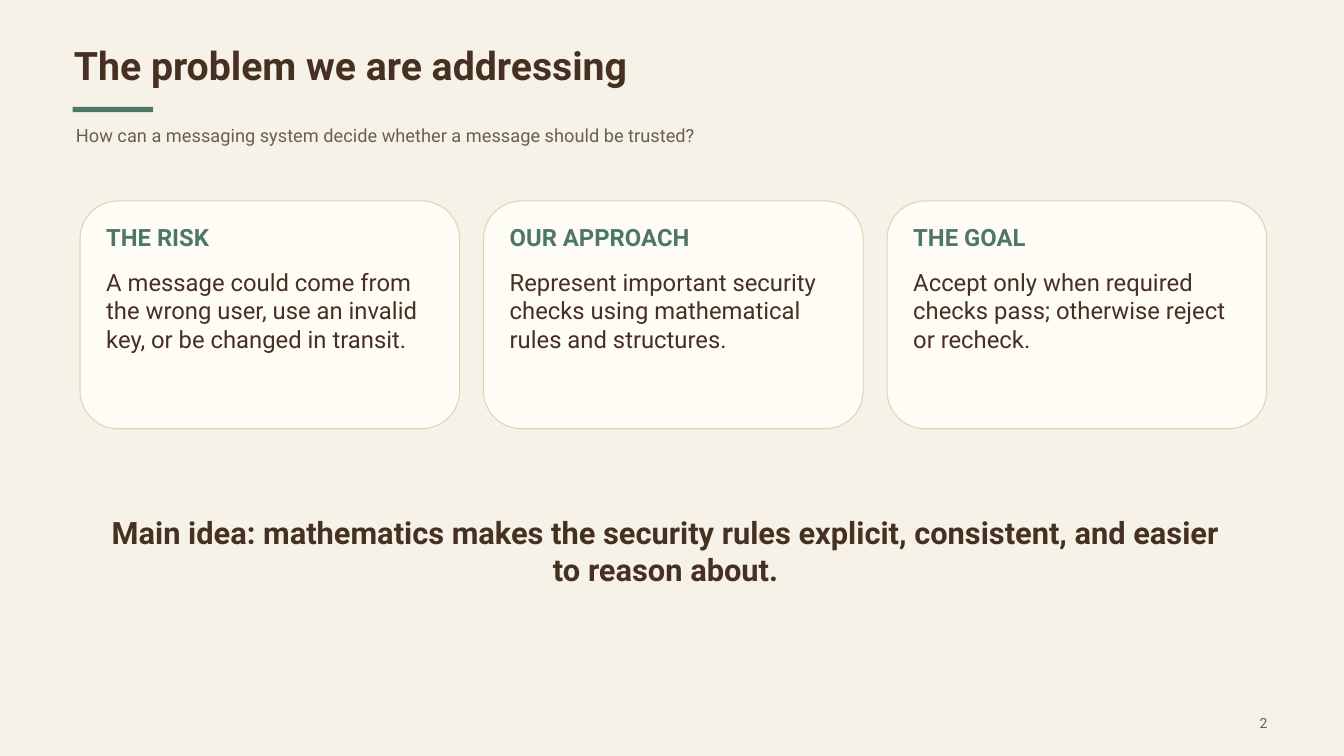
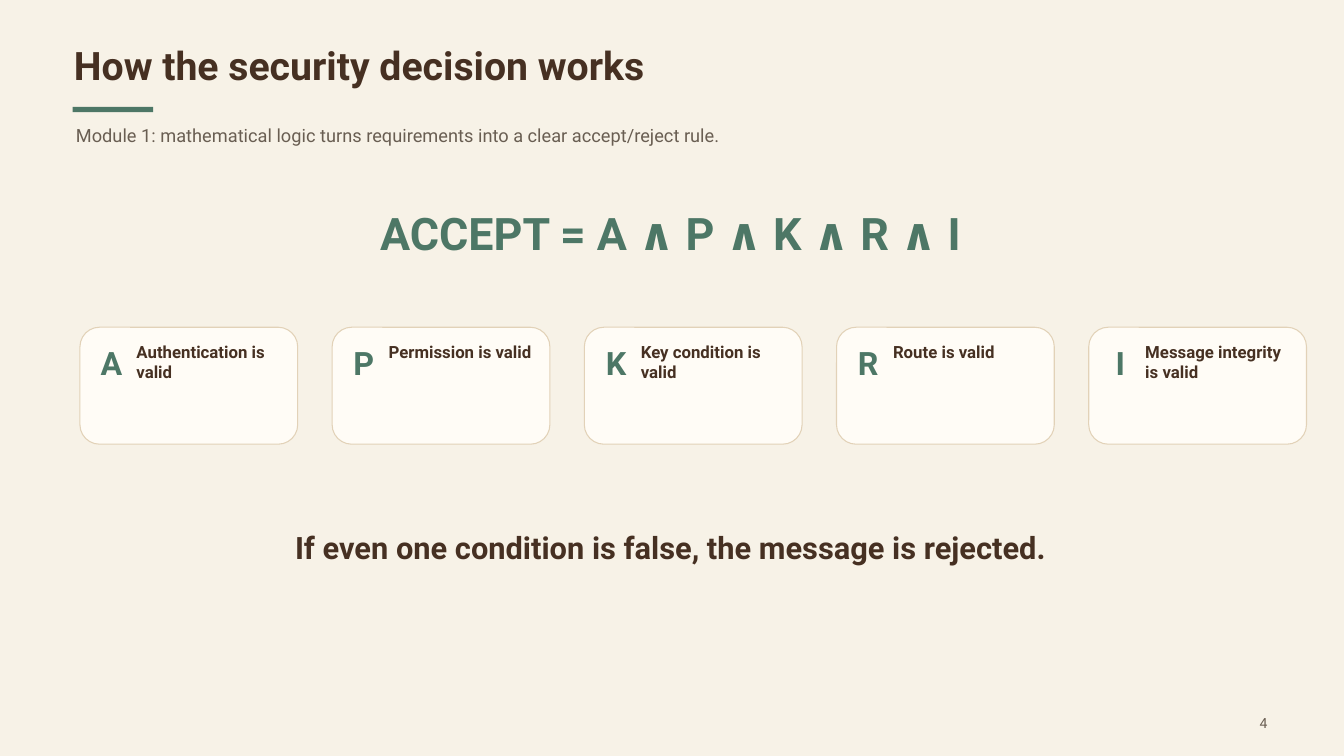
from pptx import Presentation
from pptx.dml.color import RGBColor
from pptx.enum.shapes import MSO_SHAPE
from pptx.enum.text import MSO_AUTO_SIZE, PP_ALIGN
from pptx.util import Inches, Pt

# Shared style
CREAM = RGBColor(0xF7, 0xF2, 0xE7)
CARD_FILL = RGBColor(0xFF, 0xFC, 0xF6)
CARD_BORDER = RGBColor(0xE2, 0xD2, 0xB8)
GREEN = RGBColor(0x4D, 0x77, 0x66)
BROWN = RGBColor(0x46, 0x30, 0x22)
GREY = RGBColor(0x69, 0x5E, 0x52)
FONT = "Roboto"
LINE_HEIGHT = 1.2

RECTANGLE = MSO_SHAPE.RECTANGLE
ROUNDED = MSO_SHAPE.ROUNDED_RECTANGLE
LEFT, CENTER, RIGHT = PP_ALIGN.LEFT, PP_ALIGN.CENTER, PP_ALIGN.RIGHT
GROW = MSO_AUTO_SIZE.SHAPE_TO_FIT_TEXT

# Card rows
CARD_LEFT = 1.19
TOPIC_TOP, TOPIC_STEP = 2.99, 6.005
CONDITION_TOP, CONDITION_STEP = 4.87, 3.753

TOPICS = [
    ("THE RISK", "A message could come from the wrong user, use an invalid key, "
                 "or be changed in transit."),
    ("OUR APPROACH", "Represent important security checks using mathematical "
                     "rules and structures."),
    ("THE GOAL", "Accept only when required checks pass; otherwise reject or recheck."),
]
CONDITIONS = [
    ("A", "Authentication is valid"),
    ("P", "Permission is valid"),
    ("K", "Key condition is valid"),
    ("R", "Route is valid"),
    ("I", "Message integrity is valid"),
]


def add_text(slide, text, left, top, width, height, size, color,
             bold=False, align=LEFT):
    box = slide.shapes.add_textbox(Inches(left), Inches(top),
                                   Inches(width), Inches(height))
    frame = box.text_frame
    frame.margin_left = frame.margin_right = 0
    frame.margin_top = frame.margin_bottom = 0
    frame.word_wrap = True
    frame.auto_size = GROW
    paragraph = frame.paragraphs[0]
    paragraph.alignment = align
    paragraph.line_spacing = Pt(size * LINE_HEIGHT)
    run = paragraph.add_run()
    run.text = text
    run.font.name = FONT
    run.font.size = Pt(size)
    run.font.bold = bold
    run.font.color.rgb = color


def add_block(slide, kind, left, top, width, height, fill, border=None):
    shape = slide.shapes.add_shape(kind, Inches(left), Inches(top),
                                   Inches(width), Inches(height))
    shape.shadow.inherit = False
    shape.fill.solid()
    shape.fill.fore_color.rgb = fill
    if border is None:
        shape.line.fill.background()
    else:
        shape.line.color.rgb = border
        shape.line.width = Pt(1.13)


def add_page(presentation, title, subtitle, number):
    """Add a slide with the background, heading and page number all slides share."""
    slide = presentation.slides.add_slide(presentation.slide_layouts[6])
    slide.background.fill.solid()
    slide.background.fill.fore_color.rgb = CREAM
    add_text(slide, title, 1.1, 0.62, 17.76, 0.73, 42, BROWN, bold=True)
    add_block(slide, RECTANGLE, 1.08, 1.59, 1.2, 0.08, GREEN)
    add_text(slide, subtitle, 1.13, 1.85, 17.46, 0.53, 19.5, GREY)
    add_text(slide, str(number), 18.21, 10.63, 0.65, 0.2, 15, GREY, align=RIGHT)
    return slide


def add_topic_card(slide, left, heading, body):
    add_block(slide, ROUNDED, left, TOPIC_TOP, 5.65, 3.39, CARD_FILL, CARD_BORDER)
    text_left = left + 0.39
    add_text(slide, heading, text_left, TOPIC_TOP + 0.33, 4.87, 0.43, 25.5, GREEN, bold=True)
    add_text(slide, body, text_left, TOPIC_TOP + 0.99, 4.87, 2.11, 25.5, BROWN)


def add_condition_card(slide, left, letter, meaning):
    add_block(slide, ROUNDED, left, CONDITION_TOP, 3.24, 1.74, CARD_FILL, CARD_BORDER)
    add_text(slide, letter, left + 0.18, CONDITION_TOP + 0.24, 0.58, 0.58, 34.5, GREEN,
             bold=True, align=CENTER)
    add_text(slide, meaning, left + 0.84, CONDITION_TOP + 0.21, 2.15, 0.88, 18, BROWN,
             bold=True)


def add_statement(slide, text, top, width, height, size=33, color=BROWN):
    add_text(slide, text, 1.55, top, width, height, size, color, bold=True, align=CENTER)


def build_problem(presentation):
    slide = add_page(presentation, "The problem we are addressing",
                     "How can a messaging system decide whether a message should be trusted?", 2)
    for index, (heading, body) in enumerate(TOPICS):
        add_topic_card(slide, CARD_LEFT + index * TOPIC_STEP, heading, body)
    add_statement(slide, "Main idea: mathematics makes the security rules explicit, "
                         "consistent, and easier to reason about.", 7.64, 16.71, 0.94)


def build_decision(presentation):
    slide = add_page(presentation, "How the security decision works",
                     "Module 1: mathematical logic turns requirements into a clear "
                     "accept/reject rule.", 4)
    formula = "ACCEPT = " + " ∧ ".join(letter for letter, _ in CONDITIONS)
    add_statement(slide, formula, 3.06, 16.86, 1.09, size=48, color=GREEN)
    for index, (letter, meaning) in enumerate(CONDITIONS):
        add_condition_card(slide, CARD_LEFT + index * CONDITION_STEP, letter, meaning)
    add_statement(slide, "If even one condition is false, the message is rejected.",
                  7.87, 16.86, 1.09)


def main():
    presentation = Presentation()
    presentation.slide_width = Inches(20)
    presentation.slide_height = Inches(11.25)
    build_problem(presentation)
    build_decision(presentation)
    presentation.save("out.pptx")


if __name__ == "__main__":
    main()
